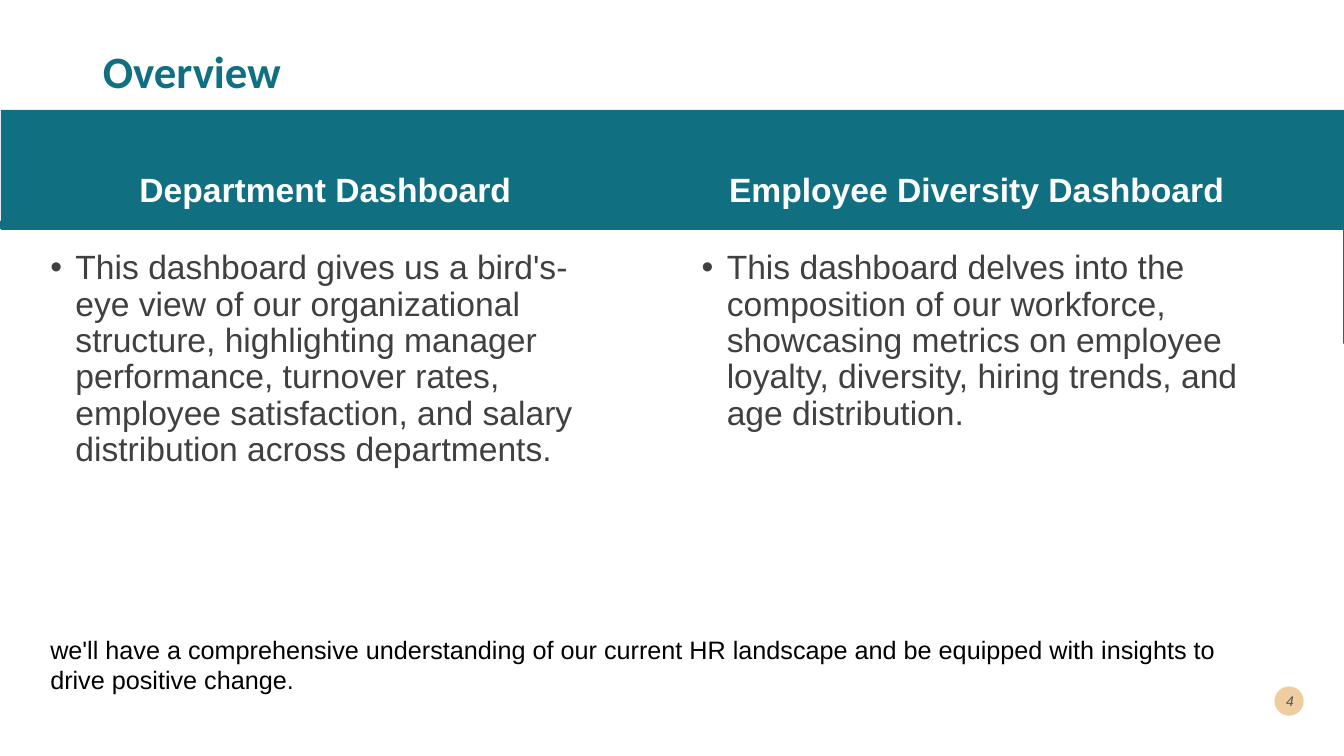
import pptx
import pptx.util
import pptx.dml.color
import pptx.enum.shapes
import pptx.enum.text
import pptx.oxml.ns
import lxml.etree

Inches = pptx.util.Inches
RGBColor = pptx.dml.color.RGBColor
SHAPE = pptx.enum.shapes.MSO_SHAPE
ANCHOR = pptx.enum.text.MSO_ANCHOR
ALIGN = pptx.enum.text.PP_ALIGN

TEAL = RGBColor(0x10, 0x70, 0x82)
WHITE = RGBColor(0xFF, 0xFF, 0xFF)
SAND = RGBColor(0xF0, 0xCD, 0xA1)
GRAY = RGBColor(0x40, 0x40, 0x40)
BLACK = RGBColor(0, 0, 0)
NUMBER = RGBColor(0x48, 0x5A, 0x50)

TITLE = "Overview"
DASHBOARDS = [
    ("Department Dashboard",
     "This dashboard gives us a bird's-eye view of our organizational structure, "
     "highlighting manager performance, turnover rates, employee satisfaction, "
     "and salary distribution across departments."),
    ("Employee Diversity Dashboard",
     "This dashboard delves into the composition of our workforce, showcasing "
     "metrics on employee loyalty, diversity, hiring trends, and age distribution."),
]
CLOSING = ("we'll have a comprehensive understanding of our current HR landscape "
           "and be equipped with insights to drive positive change.")
PAGE = "4"

WIDTH, HEIGHT = 13.33, 7.5
COLUMN_LEFT, COLUMN_STEP, COLUMN_WIDTH = 0.4, 6.46, 5.65
BACKDROP = [
    (SHAPE.OVAL, (12.64, 6.81, 0.29, 0.29), SAND),
    (SHAPE.RECTANGLE, (0, 2.19, WIDTH, 1.22), TEAL),
    (SHAPE.RECTANGLE, (-0.01, 2.27, WIDTH, 1.17), WHITE),
    (SHAPE.RECTANGLE, (0.01, 1.09, WIDTH, 1.19), TEAL),
]

prs = pptx.Presentation()
prs.slide_width, prs.slide_height = Inches(WIDTH), Inches(HEIGHT)
s = prs.slides.add_slide(prs.slide_layouts[5])


def add_block(kind, box, color):
    sp = s.shapes.add_shape(kind, *map(Inches, box))
    sp.shadow.inherit = False
    sp.fill.solid()
    sp.fill.fore_color.rgb = color
    sp.line.fill.background()


def add_text(text, box, size, color, sp=None, font="Arial", bold=False, italic=False,
             align=ALIGN.LEFT, anchor=ANCHOR.TOP, spacing=None, before=0, bullet=False):
    box = [Inches(v) for v in box]
    if sp is None:
        sp = s.shapes.add_textbox(*box)
    else:
        sp.left, sp.top, sp.width, sp.height = box
    tf = sp.text_frame
    tf.word_wrap = True
    tf.auto_size = pptx.enum.text.MSO_AUTO_SIZE.NONE
    tf.vertical_anchor = anchor
    p = tf.paragraphs[0]
    p.alignment = align
    p.line_spacing = spacing
    p.space_before = pptx.util.Pt(before)
    if bullet:
        pPr = p._p.get_or_add_pPr()
        pPr.set("marL", str(Inches(0.25)))
        pPr.set("indent", str(Inches(-0.25)))
        lxml.etree.SubElement(pPr, pptx.oxml.ns.qn("a:buFont"), typeface="Arial")
        lxml.etree.SubElement(pPr, pptx.oxml.ns.qn("a:buChar"), char="•")
    r = p.add_run()
    r.text = text
    r.font.name, r.font.size = font, pptx.util.Pt(size)
    r.font.bold, r.font.italic = bold, italic
    r.font.color.rgb = color


for kind, box, color in BACKDROP:
    add_block(kind, box, color)

title = s.shapes.title
s.shapes._spTree.append(title._element)
add_text(TITLE, (0.92, 0.01, 11.5, 1.45), 32, TEAL, sp=title, font="Calibri",
         bold=True, anchor=ANCHOR.MIDDLE, spacing=0.9)

for i, (heading, body) in enumerate(DASHBOARDS):
    left = COLUMN_LEFT + i * COLUMN_STEP
    add_text(heading, (left, 1.23, COLUMN_WIDTH, 0.9), 24, WHITE, bold=True,
             align=ALIGN.CENTER, anchor=ANCHOR.BOTTOM, spacing=0.9, before=10)
    add_text(body, (left, 2.44, COLUMN_WIDTH, 2.43), 24, GRAY,
             spacing=0.9, before=10, bullet=True)

add_text(PAGE, (12.54, 6.75, 0.39, 0.4), 10, NUMBER, italic=True,
         align=ALIGN.RIGHT, anchor=ANCHOR.MIDDLE)
add_text(CLOSING, (COLUMN_LEFT, 6.24, 12.28, 0.71), 18, BLACK)

prs.save("out.pptx")
